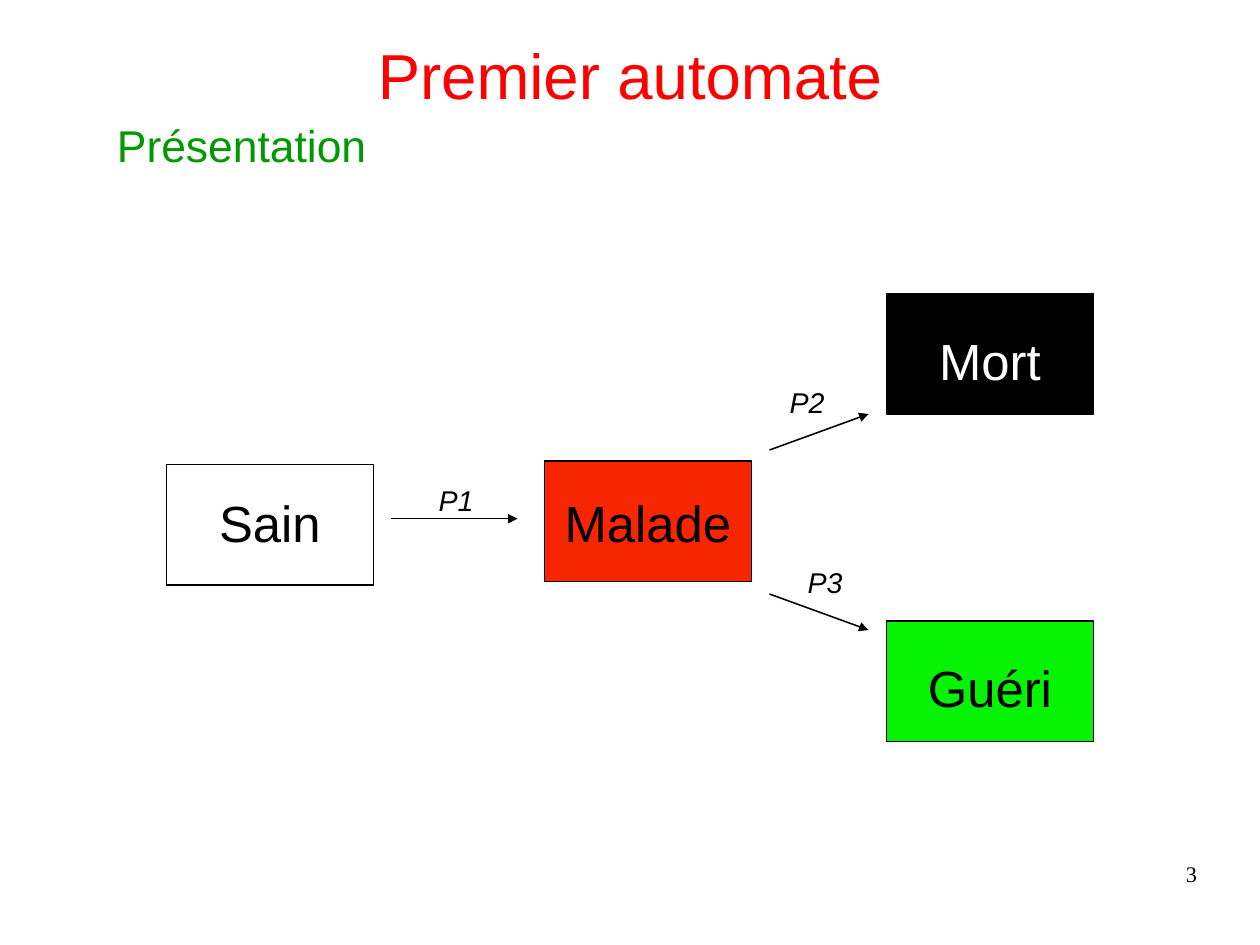
"""Build the slide presenting the first automaton."""
from lxml import etree
from pptx import Presentation
from pptx import util as u
from pptx.dml.color import RGBColor
from pptx.enum import shapes, text
from pptx.oxml.ns import qn

SCALE = 9000
BLACK = RGBColor(0x00, 0x00, 0x00)
WHITE = RGBColor(0xFF, 0xFF, 0xFF)
TITLE_RED = RGBColor(0xFF, 0x00, 0x00)
HEADING_GREEN = RGBColor(0x00, 0x99, 0x00)
SICK_RED = RGBColor(0xF7, 0x25, 0x02)
CURED_GREEN = RGBColor(0x06, 0xF3, 0x05)

STATE_WIDTH, STATE_HEIGHT = 184, 107
STATES = [
    ("Sain", 148, 413, 432, None, BLACK),
    ("Malade", 484, 410, 432, SICK_RED, BLACK),
    ("Guéri", 788, 552, 579, CURED_GREEN, BLACK),
    ("Mort", 788, 261, 288, BLACK, WHITE),
]
TRANSITIONS = [
    ("P1", (348, 461), (460, 461), (380, 424)),
    ("P2", (684, 400), (772, 368), (692, 337)),
    ("P3", (684, 528), (772, 560), (708, 497)),
]


def px(*lengths):
    return [u.Emu(length * SCALE) for length in lengths]


def write(box, words, size=32, color=BLACK, font="Arial", italic=False,
          align=text.PP_ALIGN.LEFT, anchor=text.MSO_ANCHOR.TOP,
          margins=(0, 0), indent=0):
    frame = box.text_frame
    frame.word_wrap = True
    frame.vertical_anchor = anchor
    frame.margin_left = frame.margin_right = px(margins[0])[0]
    frame.margin_top = frame.margin_bottom = px(margins[1])[0]
    para = frame.paragraphs[0]
    para.alignment = align
    if indent:
        properties = para._p.get_or_add_pPr()
        properties.set("marL", str(indent * SCALE))
        properties.set("indent", "0")
    span = para.add_run()
    span.text = words
    span.font.name = font
    span.font.size = u.Pt(size)
    span.font.italic = italic
    span.font.color.rgb = color


class Diagram:
    """Draw the elements of a state diagram on one page."""

    def __init__(self, page, line_color=BLACK, line_width=1):
        self.page = page
        self.line_color = line_color
        self.line_width = u.Pt(line_width)

    def outline(self, line):
        line.color.rgb = self.line_color
        line.width = self.line_width

    def label(self, words, left, top, width, height, **style):
        box = self.page.shapes.add_textbox(*px(left, top, width, height))
        write(box, words, **style)

    def state(self, name, left, top, text_top, fill, color):
        box = self.page.shapes.add_shape(
            shapes.MSO_SHAPE.RECTANGLE, *px(left, top, STATE_WIDTH, STATE_HEIGHT))
        box.shadow.inherit = False
        if fill is None:
            box.fill.background()
        else:
            box.fill.solid()
            box.fill.fore_color.rgb = fill
        self.outline(box.line)
        self.label(name, left, text_top, STATE_WIDTH, STATE_HEIGHT, color=color,
                   align=text.PP_ALIGN.CENTER, margins=(10, 5))

    def transition(self, name, start, end, label_corner):
        arrow = self.page.shapes.add_connector(
            shapes.MSO_CONNECTOR.STRAIGHT, *px(*start, *end))
        self.outline(arrow.line)
        etree.SubElement(arrow.line._get_or_add_ln(), qn("a:tailEnd"), type="triangle")
        etree.SubElement(arrow._element.spPr, qn("a:effectLst"))
        self.label(name, *label_corner, 56, 39, size=18, italic=True, margins=(10, 5))


def main():
    deck = Presentation()
    deck.slide_width, deck.slide_height = px(1120, 840)
    diagram = Diagram(deck.slides.add_slide(deck.slide_layouts[6]))
    diagram.label("Premier automate", 56, -4, 1008, 140, size=40, color=TITLE_RED,
                  align=text.PP_ALIGN.CENTER, anchor=text.MSO_ANCHOR.MIDDLE)
    diagram.label("Présentation", 56, 105, 1008, 487, size=28,
                  color=HEADING_GREEN, indent=48)
    for state in STATES:
        diagram.state(*state)
    for transition in TRANSITIONS:
        diagram.transition(*transition)
    diagram.label("3", 803, 765, 261, 58, size=14, font="Times New Roman",
                  align=text.PP_ALIGN.RIGHT)
    deck.save("out.pptx")


if __name__ == "__main__":
    main()
